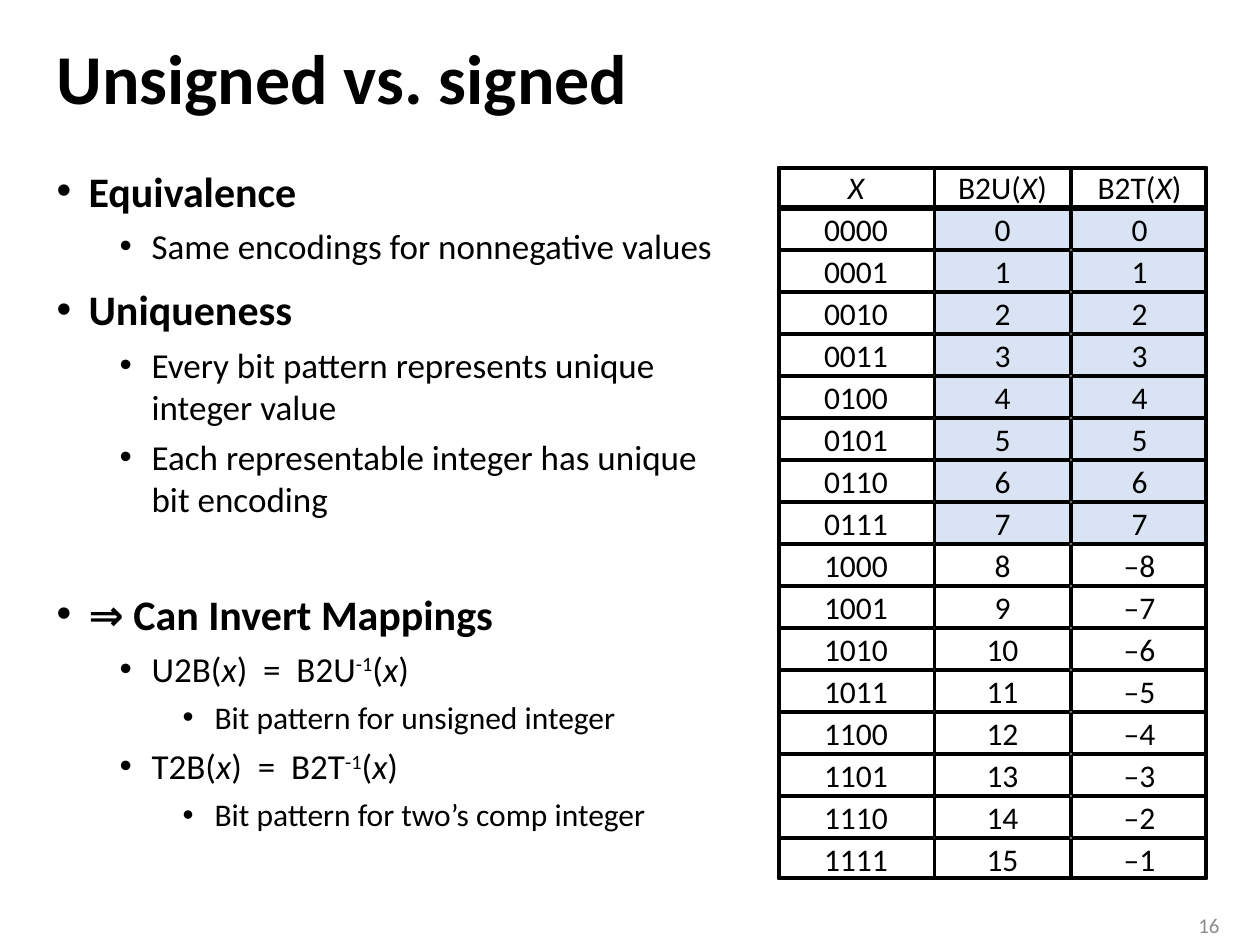
import pptx
import pptx.dml.color
import pptx.enum.shapes
import pptx.enum.text
import pptx.oxml
import pptx.oxml.ns
import pptx.util

RGB = pptx.dml.color.RGBColor
BLACK = RGB(0x00, 0x00, 0x00)
WHITE = RGB(0xFF, 0xFF, 0xFF)
BLUE = RGB(0xDA, 0xE3, 0xF3)
GRAY = RGB(0x8C, 0x8C, 0x8C)
ALIGN = pptx.enum.text.PP_ALIGN
MID = pptx.enum.text.MSO_ANCHOR.MIDDLE
TOP = pptx.enum.text.MSO_ANCHOR.TOP
FIT = pptx.enum.text.MSO_AUTO_SIZE.NONE
RECT = pptx.enum.shapes.MSO_SHAPE.RECTANGLE
Pt = pptx.util.Pt
SCALE = 914400 / 126
FONT = "Calibri"

SIZES = [24, 20, 18]
POINTS = [
    (0, 0, "Equivalence"),
    (1, 5, "Same encodings for nonnegative values"),
    (0, 10, "Uniqueness"),
    (1, 5, "Every bit pattern represents unique integer value"),
    (1, 5, "Each representable integer has unique bit encoding"),
    (0, 39, "⇒ Can Invert Mappings"),
    (1, 5, "U2B(|*x|)  =  B2U|^-1|(|*x|)"),
    (2, 5, "Bit pattern for unsigned integer"),
    (1, 5, "T2B(|*x|)  =  B2T|^-1|(|*x|)"),
    (2, 5, "Bit pattern for two’s comp integer"),
]
COLS = [(0, 156), (157, 135), (294, 135)]
PITCH = 42


def px(num):
    return round(num * SCALE)


def place(shape, box):
    shape.left, shape.top, shape.width, shape.height = map(px, box)


def bullet(para, level):
    para.level = level
    props = para._p.get_or_add_pPr()
    props.set("marL", str(px(32 + 63 * level)))
    props.set("indent", str(-px(32)))
    for tag, key, val in (("buFont", "typeface", "Arial"), ("buChar", "char", "•")):
        item = pptx.oxml.parse_xml(f'<a:{tag} {pptx.oxml.ns.nsdecls("a")} {key}="{val}"/>')
        props.append(item)


def write(para, text, size=18, color=BLACK, bold=False, align=ALIGN.LEFT, before=0, line=1.0):
    para.alignment = align
    para.space_before = Pt(before)
    para.line_spacing = line
    for part in text.split("|"):
        run = para.add_run()
        run.text = part.lstrip("*^")
        font = run.font
        font.name, font.size, font.bold = FONT, Pt(size), bold
        font.italic = part.startswith("*")
        font.color.rgb = color
        if part.startswith("^"):
            run._r.get_or_add_rPr().set("baseline", "30000")


def add_title(slide, box):
    title = slide.shapes.title
    place(title, box)
    frame = title.text_frame
    frame.auto_size, frame.vertical_anchor = FIT, MID
    write(frame.paragraphs[0], "Unsigned vs. signed", size=40, bold=True, line=0.9)


def add_list(slide, box):
    body = slide.placeholders[1]
    place(body, box)
    frame = body.text_frame
    frame.auto_size, frame.vertical_anchor = FIT, TOP
    for num, (level, gap, text) in enumerate(POINTS):
        para = frame.add_paragraph() if num else frame.paragraphs[0]
        bullet(para, level)
        write(para, text, size=SIZES[level], bold=level == 0, before=gap)


def add_rect(group, box, width, fill=None):
    rect = group.shapes.add_shape(RECT, *map(px, box))
    rect.shadow.inherit = False
    rect.line.color.rgb, rect.line.width = BLACK, Pt(width)
    if fill is None:
        rect.fill.background()
    else:
        rect.fill.solid()
        rect.fill.fore_color.rgb = fill
    return rect


def add_codes(slide, box):
    left, top, width, height = box
    rows = [("*X", "B2U(|*X|)", "B2T(|*X|)")]
    for num in range(16):
        signed = str(num) if num < 8 else f"–{16 - num}"
        rows.append((f"{num:04b}", str(num), signed))
    group = slide.shapes.add_group_shape()
    for r, row in enumerate(rows):
        for c, (text, (shift, wide)) in enumerate(zip(row, COLS)):
            fill = BLUE if c and 1 <= r <= 8 else WHITE
            cell = add_rect(group, (left + shift, top + PITCH * r, wide, PITCH - 2), 1, fill)
            frame = cell.text_frame
            frame.word_wrap, frame.vertical_anchor = False, MID
            write(frame.paragraphs[0], text, align=ALIGN.CENTER)
    add_rect(group, (left + 1, top + 1, width - 2, PITCH - 3), 2)
    add_rect(group, (left + 1, top + PITCH, width - 2, height - PITCH - 1), 2)


def add_page(slide, box):
    frame = slide.shapes.add_textbox(*map(px, box)).text_frame
    frame.word_wrap, frame.vertical_anchor = True, MID
    write(frame.paragraphs[0], "16", size=12, color=GRAY, align=ALIGN.RIGHT)


def main():
    deck = pptx.Presentation()
    deck.slide_width, deck.slide_height = px(1260), px(945)
    slide = deck.slides.add_slide(deck.slide_layouts[1])
    add_title(slide, (44, 24, 1171, 116))
    add_list(slide, (44, 159, 682, 735))
    add_page(slide, (1168, 906, 64, 39))
    add_codes(slide, (778, 167, 429, 712))
    deck.save("out.pptx")


if __name__ == "__main__":
    main()
